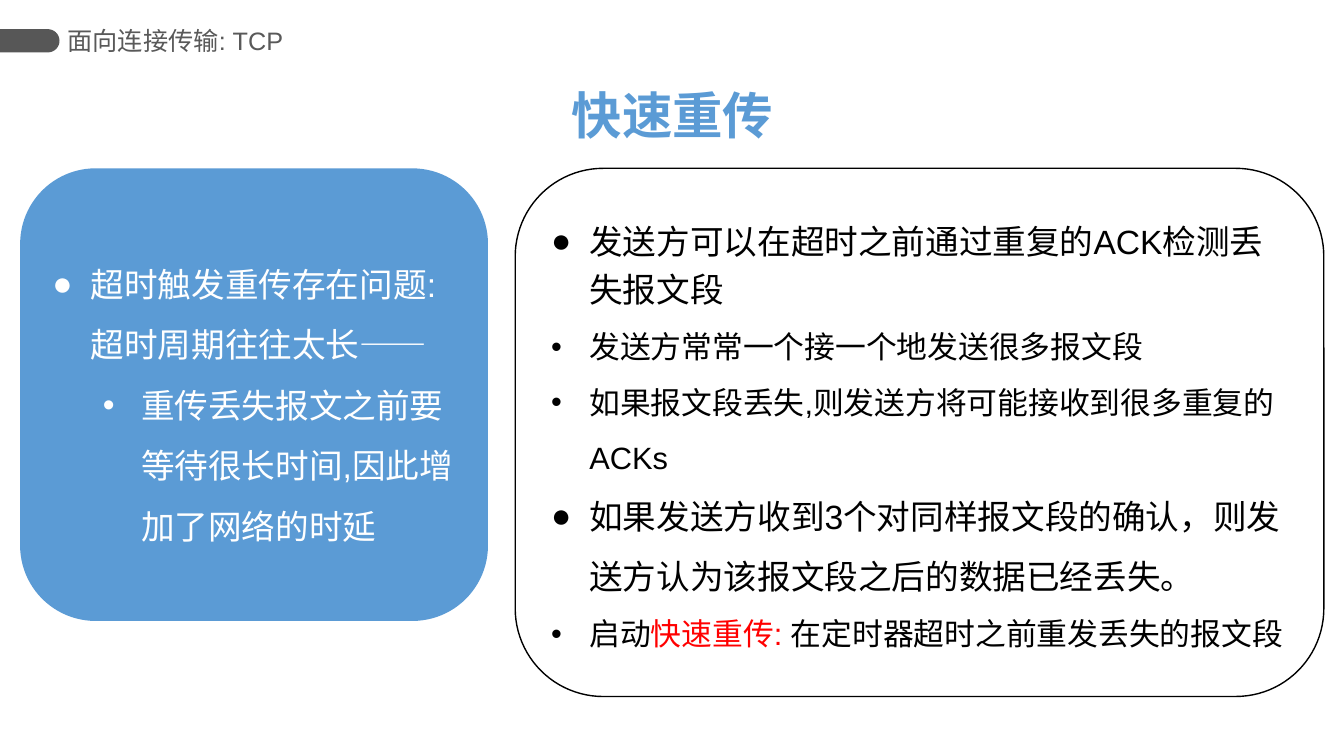
import math

import lxml.etree
import pptx
import pptx.dml.color
import pptx.enum.shapes
import pptx.enum.text
import pptx.oxml.ns
import pptx.util

Inches = pptx.util.Inches
Pt = pptx.util.Pt
Anchor = pptx.enum.text.MSO_ANCHOR
Align = pptx.enum.text.PP_ALIGN
Fit = pptx.enum.text.MSO_AUTO_SIZE

HUES = {
    "tab": "575757",
    "label": "595959",
    "blue": "5B9BD5",
    "white": "FFFFFF",
    "black": "000000",
    "red": "FF0000",
}

RIGHT = [
    (24, 1.2, "●", [("发送方可以在超时之前通过重复的ACK检测丢失报文段", "black")]),
    (22, 1.5, "•", [("发送方常常一个接一个地发送很多报文段", "black")]),
    (22, 1.5, "•", [("如果报文段丢失,则发送方将可能接收到很多重复的 ACKs", "black")]),
    (24, 1.5, "●", [("如果发送方收到3个对同样报文段的确认，则发送方认为该报文段之后的数据已经丢失。", "black")]),
    (22, 1.5, "•", [
        ("启动", "black"),
        ("快速重传: ", "red"),
        ("在定时器超时之前重发丢失的报文段", "black"),
    ]),
]
LEFT = [
    (24, 1.5, "●", [("超时触发重传存在问题:超时周期往往太长——", "white")]),
    (24, 1.5, "•", [("重传丢失报文之前要等待很长时间,因此增加了网络的时延", "white")], 1),
]


def style(item, **vals):
    for key, val in vals.items():
        setattr(item, key, val)


def hue(name):
    return pptx.dml.color.RGBColor.from_string(HUES[name])


def place(shape, box):
    sides = ("left", "top", "width", "height")
    style(shape, **{side: Inches(val) for side, val in zip(sides, box)})


def write(para, text, size, color, bold=False):
    run = para.add_run()
    run.text = text
    style(run.font, name="Arial", size=Pt(size), bold=bold)
    run.font.color.rgb = hue(color)


def bullet(para, mark, indent):
    props = para._p.get_or_add_pPr()
    props.set("marL", str(Inches(indent)))
    props.set("indent", str(-Inches(0.38)))
    for tag, key, val in (("buFont", "typeface", "Arial"), ("buChar", "char", mark)):
        node = lxml.etree.SubElement(props, pptx.oxml.ns.qn("a:" + tag))
        node.set(key, val)


def header(slide, box):
    left, top, width, height = box
    rad = 0.115
    mid = top + 0.215
    turns = [math.radians(deg) for deg in range(-90, 91, 6)]
    curve = [(left + 0.475 + rad * math.cos(turn), mid + rad * math.sin(turn)) for turn in turns]
    points = [(Inches(x), Inches(y)) for x, y in curve + [(left, mid + rad)]]
    path = slide.shapes.build_freeform(Inches(left), Inches(mid - rad))
    path.add_line_segments(points, close=True)
    tab = path.convert_to_shape()
    tab.shadow.inherit = False
    tab.fill.solid()
    tab.fill.fore_color.rgb = hue("tab")
    tab.line.fill.background()

    label = slide.shapes.add_textbox(0, 0, 0, 0)
    place(label, (left + 0.67, top, width - 0.67, height))
    frame = label.text_frame
    style(frame, word_wrap=True, vertical_anchor=Anchor.MIDDLE, margin_left=0, margin_right=0)
    write(frame.paragraphs[0], "面向连接传输: TCP", 18, "label")


def title(slide, box):
    head = slide.shapes.title
    place(head, box)
    frame = head.text_frame
    style(frame, word_wrap=False, auto_size=Fit.NONE, vertical_anchor=Anchor.MIDDLE)
    frame.paragraphs[0].alignment = Align.CENTER
    write(frame.paragraphs[0], "快速重传", 36, "blue", True)


def panel(slide, body, box, items, fill=None, line=None):
    left, top, width, height = box
    card = slide.shapes.add_shape(pptx.enum.shapes.MSO_SHAPE.ROUNDED_RECTANGLE, 0, 0, 0, 0)
    place(card, box)
    card.shadow.inherit = False
    if fill:
        card.fill.solid()
        card.fill.fore_color.rgb = hue(fill)
    else:
        card.fill.background()
    if line:
        card.line.color.rgb = hue(line)
        card.line.width = Pt(1)
    else:
        card.line.fill.background()
    body._element.addprevious(card._element)

    pad = min(width, height) / 6 * (1 - math.sqrt(0.5))
    place(body, (left + pad, top + pad, width - 2 * pad, height - 2 * pad))
    frame = body.text_frame
    style(frame, word_wrap=True, auto_size=Fit.NONE, vertical_anchor=Anchor.MIDDLE)
    for num, (size, space, mark, runs, *level) in enumerate(items):
        para = frame.add_paragraph() if num else frame.paragraphs[0]
        depth = level[0] if level else 0
        bullet(para, mark, 0.38 + 0.5 * depth)
        style(para, level=depth, line_spacing=space, alignment=Align.LEFT,
              space_before=Pt(0), space_after=Pt(0))
        for text, color in runs:
            write(para, text, size, color)


def main():
    deck = pptx.Presentation()
    style(deck, slide_width=Inches(13.33), slide_height=Inches(7.5))
    slide = deck.slides.add_slide(deck.slide_layouts[3])
    first, second = list(slide.placeholders)[1:]
    header(slide, (0, 0.19, 3, 0.42))
    title(slide, (5.56, 0.78, 2.22, 0.71))
    panel(slide, first, (0.2, 1.67, 4.64, 4.49), LEFT, fill="blue")
    panel(slide, second, (5.11, 1.67, 8.02, 5.24), RIGHT, line="black")
    deck.save("out.pptx")


if __name__ == "__main__":
    main()
